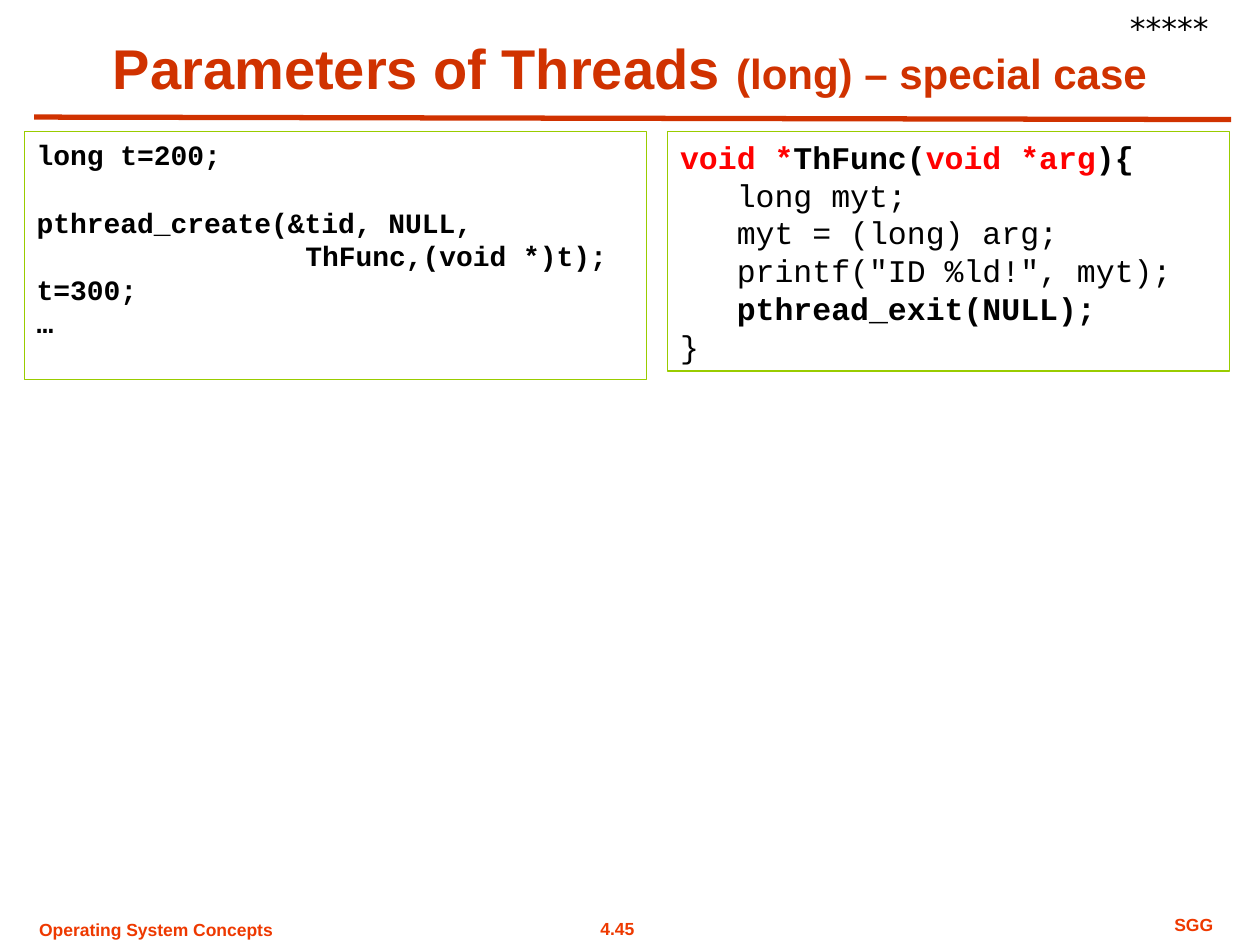
from lxml.etree import SubElement
from pptx import Presentation
from pptx.dml.color import RGBColor
from pptx.enum.shapes import MSO_CONNECTOR as Connector, MSO_SHAPE as Preset
from pptx.enum.text import MSO_ANCHOR as Anchor, PP_ALIGN as Align
from pptx.oxml.ns import qn
from pptx.util import Cm, Pt

TITLE_RED, FOOTER_RED, CODE_RED = "D03200", "EE3900", "FF0000"
BLACK, GREEN = "000000", "99CC00"
TAB_STEP = Cm(2.54)


def color(hex_code):
    """Turn a hex string into a colour."""
    return RGBColor.from_string(hex_code)


def write(paragraph, text, size=18, font="Arial", ink=BLACK, bold=False):
    """Append a formatted run to a paragraph."""
    run = paragraph.add_run()
    run.text = text
    run.font.size = Pt(size)
    run.font.name = font
    run.font.bold = bold
    run.font.color.rgb = color(ink)


def set_frame(shape, anchor=Anchor.TOP):
    """Give a shape's text the common margins and return its frame."""
    frame = shape.text_frame
    frame.word_wrap = True
    frame.vertical_anchor = anchor
    frame.margin_left = frame.margin_right = Cm(0.25)
    frame.margin_top = frame.margin_bottom = Cm(0.13)
    return frame


def add_tabs(paragraph, count=2):
    """Set evenly spaced left tab stops."""
    stops = SubElement(paragraph._p.get_or_add_pPr(), qn("a:tabLst"))
    for step in range(1, count + 1):
        SubElement(stops, qn("a:tab"), pos=str(TAB_STEP * step), algn="l")


def add_heading(slide, left, top, width, height):
    """Place the title and the rule beneath it."""
    title = slide.shapes.title
    title.left, title.top, title.width, title.height = left, top, width, height
    heading = set_frame(title, Anchor.BOTTOM).paragraphs[0]
    heading.alignment = Align.CENTER
    write(heading, "Parameters of Threads ", size=32, ink=TITLE_RED, bold=True)
    write(heading, "(long) – special case", size=24, ink=TITLE_RED, bold=True)

    rule_top = top + height + Cm(0.2)
    rule = slide.shapes.add_connector(
        Connector.STRAIGHT, left + Cm(0.69), rule_top,
        left + width - Cm(0.58), rule_top + Cm(0.05))
    rule.line.color.rgb = color(TITLE_RED)
    rule.line.width = Pt(3)
    SubElement(rule._element.spPr, qn("a:effectLst"))


def add_label(slide, text, left, top, width, height, align=Align.LEFT, **style):
    """Place a one-line label."""
    box = slide.shapes.add_textbox(left, top, width, height)
    label = set_frame(box).paragraphs[0]
    label.alignment = align
    write(label, text, **style)


def add_footer(slide, left, top, width):
    """Place the course name, page number and initials along the bottom."""
    style = dict(size=10, ink=FOOTER_RED, bold=True)
    height = Cm(0.69)
    add_label(slide, "Operating System Concepts", left + Cm(0.54), top + Cm(0.1),
              Cm(5.6), height, **style)
    add_label(slide, "4.45", left + Cm(11.2), top + Cm(0.08), Cm(2.49), height,
              align=Align.CENTER, **style)
    add_label(slide, "SGG", left + width - Cm(2.67), top, Cm(2.67), height,
              align=Align.CENTER, **style)


def add_code(slide, lines, size, left, top, width, height, gap_before=None):
    """Place a framed listing; each line is a list of (text, ink, bold)."""
    panel = slide.shapes.add_shape(Preset.RECTANGLE, left, top, width, height)
    panel.shadow.inherit = False
    panel.fill.background()
    panel.line.color.rgb = color(GREEN)
    panel.line.width = Pt(0.75)
    frame = set_frame(panel)
    pitch = Pt(size * 1.2)
    for index, parts in enumerate(lines):
        code = frame.add_paragraph() if index else frame.paragraphs[0]
        code.alignment = Align.LEFT
        code.line_spacing = pitch
        if index == gap_before:
            code.space_before = pitch
        add_tabs(code)
        for text, ink, bold in parts:
            write(code, text, size=size, font="Courier New", ink=ink, bold=bold)


def main():
    """Build the slide and save it."""
    deck = Presentation()
    deck.slide_width, deck.slide_height = Cm(25.4), Cm(19.05)
    slide = deck.slides.add_slide(deck.slide_layouts[5])

    add_footer(slide, 0, Cm(18.29), deck.slide_width)
    add_heading(slide, 0, Cm(0.56), deck.slide_width, Cm(1.6))
    add_label(slide, "*****", Cm(22.53), Cm(0.05), Cm(2.72), Cm(1.02),
              font="DejaVu Sans")

    caller = ["long t=200;", "pthread_create(&tid, NULL,",
              "\t\t ThFunc,(void *)t);", "t=300;", "…"]
    thread = [
        [("void *", CODE_RED, True), ("ThFunc(", BLACK, True),
         ("void *arg", CODE_RED, True), ("){", BLACK, True)],
        [("   long myt;", BLACK, False)],
        [("   myt = (long) arg;", BLACK, False)],
        [('   printf("ID %ld!", myt);', BLACK, False)],
        [("   pthread_exit(NULL);", BLACK, True)],
        [("}", BLACK, False)],
    ]
    code_top = Cm(2.65)
    add_code(slide, [[(text, BLACK, True)] for text in caller], 16,
             Cm(0.49), code_top, Cm(12.54), Cm(5), gap_before=1)
    add_code(slide, thread, 18, Cm(13.46), code_top, Cm(11.33), Cm(4.83))
    deck.save("out.pptx")


if __name__ == "__main__":
    main()
